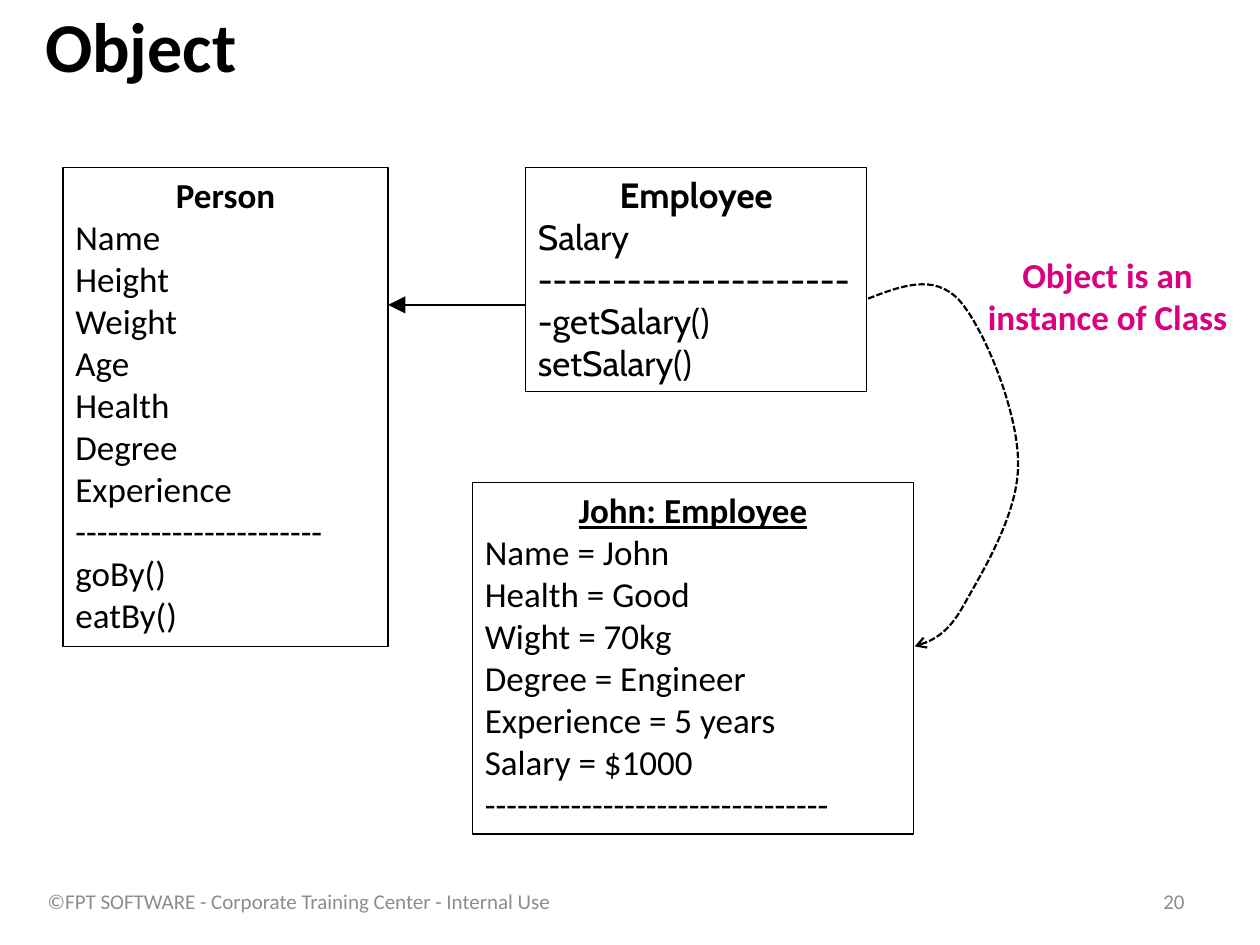
from pptx import Presentation
from pptx.dml.color import RGBColor
from pptx.enum.dml import MSO_LINE
from pptx.enum.shapes import MSO_CONNECTOR, MSO_SHAPE
from pptx.enum.text import MSO_ANCHOR, MSO_AUTO_SIZE, PP_ALIGN
from pptx.oxml.ns import qn
from pptx.util import Inches, Pt
from lxml import etree

WIDTH, HEIGHT = 10, 7.5
BLANK = 6
LEFT, CENTER, RIGHT = PP_ALIGN.LEFT, PP_ALIGN.CENTER, PP_ALIGN.RIGHT
TOP, MIDDLE, BOTTOM = MSO_ANCHOR.TOP, MSO_ANCHOR.MIDDLE, MSO_ANCHOR.BOTTOM
GROW = MSO_AUTO_SIZE.SHAPE_TO_FIT_TEXT
BLACK, GRAY, PINK = "000000", "8C8C8C", "DC0081"

# Shared rows of the layout
CLASS_TOP = 1.33
FOOTER_TOP, FOOTER_HEIGHT = 6.95, 0.4


def color(hex_code):
    return RGBColor.from_string(hex_code)


def inches(*lengths):
    return [Inches(length) for length in lengths]


def write(paragraph, text, size=20, font="Calibri", ink=BLACK,
          bold=False, underline=False, align=LEFT):
    paragraph.alignment = align
    run = paragraph.add_run()
    run.text = text
    run.font.size = Pt(size)
    run.font.name = font
    run.font.bold = bold
    run.font.underline = underline
    run.font.color.rgb = color(ink)


def add_label(slide, area, text, anchor=MIDDLE, **text_format):
    frame = slide.shapes.add_textbox(*inches(*area)).text_frame
    frame.word_wrap = True
    frame.vertical_anchor = anchor
    write(frame.paragraphs[0], text, **text_format)


def add_class_box(slide, area, heading, members, font="Calibri", underline=False):
    box = slide.shapes.add_shape(MSO_SHAPE.RECTANGLE, *inches(*area))
    box.shadow.inherit = False
    box.fill.background()
    box.line.color.rgb = color(BLACK)
    box.line.width = Pt(0.75)
    frame = box.text_frame
    frame.word_wrap = True
    frame.auto_size = GROW
    frame.vertical_anchor = TOP
    write(frame.paragraphs[0], heading, font=font, bold=True,
          underline=underline, align=CENTER)
    for member in members:
        write(frame.add_paragraph(), member, font=font)


def style_arrow(arrow, width, head, head_size="med"):
    arrow.line.color.rgb = color(BLACK)
    arrow.line.width = Pt(width)
    line = arrow.line._get_or_add_ln()
    etree.SubElement(line, qn("a:tailEnd"), type=head, w=head_size, len=head_size)


def add_inheritance_arrow(slide, start, end):
    arrow = slide.shapes.add_connector(MSO_CONNECTOR.STRAIGHT, *inches(*start, *end))
    style_arrow(arrow, 1, "triangle", head_size="lg")
    etree.SubElement(arrow._element.spPr, qn("a:effectLst"))


def bezier(p0, p1, p2, p3, steps=16):
    """Points along a cubic curve, without its start."""
    for step in range(1, steps + 1):
        t = step / steps
        u = 1 - t
        yield tuple(u**3 * a + 3 * u * u * t * b + 3 * u * t * t * c + t**3 * d
                    for a, b, c, d in zip(p0, p1, p2, p3))


def add_instance_arrow(slide, start, curves):
    points, joint = [], start
    for curve in curves:
        points.extend(inches(*point) for point in bezier(joint, *curve))
        joint = curve[-1]
    # The builder keeps whole units only, so the points are given in EMU
    builder = slide.shapes.build_freeform(*inches(*start))
    builder.add_line_segments(points, close=False)
    arrow = builder.convert_to_shape()
    arrow.shadow.inherit = False
    arrow.fill.background()
    arrow.line.dash_style = MSO_LINE.SQUARE_DOT
    style_arrow(arrow, 1.25, "arrow")


def main():
    deck = Presentation()
    deck.slide_width, deck.slide_height = inches(WIDTH, HEIGHT)
    slide = deck.slides.add_slide(deck.slide_layouts[BLANK])

    # Title
    add_label(slide, (0.26, -0.27, 8.86, 1.25), "Object", size=40, bold=True)

    # Classes and the object
    add_class_box(slide, (4.17, CLASS_TOP, 2.71, 1.78), "Employee",
                  ["Salary", "-" * 22 + "getSalary()", "setSalary()"], font="Cabin")
    add_class_box(slide, (0.5, CLASS_TOP, 2.58, 3.8), "Person",
                  ["Name", "Height", "Weight", "Age", "Health", "Degree",
                   "Experience", "-" * 23, "goBy()", "eatBy()"])
    add_class_box(slide, (3.75, 3.83, 3.5, 2.79), "John: Employee",
                  ["Name = John", "Health = Good", "Wight = 70kg",
                   "Degree = Engineer", "Experience = 5 years",
                   "Salary = $1000", "-" * 32], underline=True)

    # Relations
    add_inheritance_arrow(slide, (4.17, 2.42), (3.08, 2.42))
    add_instance_arrow(slide, (6.89, 2.37), [
        [(7.15, 2.27), (7.41, 2.17), (7.61, 2.38)],
        [(7.81, 2.6), (8.08, 3.27), (8.08, 3.67)],
        [(8.09, 4.07), (7.79, 4.55), (7.65, 4.8)],
        [(7.52, 5.04), (7.39, 5.09), (7.26, 5.13)],
    ])
    add_label(slide, (7.58, 2.06, 2.42, 0.67), "Object is an instance of Class",
              anchor=BOTTOM, ink=PINK, bold=True, align=CENTER)

    # Footer
    add_label(slide, (0.21, FOOTER_TOP, 4.33, FOOTER_HEIGHT),
              "©FPT SOFTWARE - Corporate Training Center - Internal Use",
              size=12, ink=GRAY, align=CENTER)
    add_label(slide, (7.17, FOOTER_TOP, 2.33, FOOTER_HEIGHT), "20",
              size=12, ink=GRAY, align=RIGHT)

    deck.save("out.pptx")


if __name__ == "__main__":
    main()
